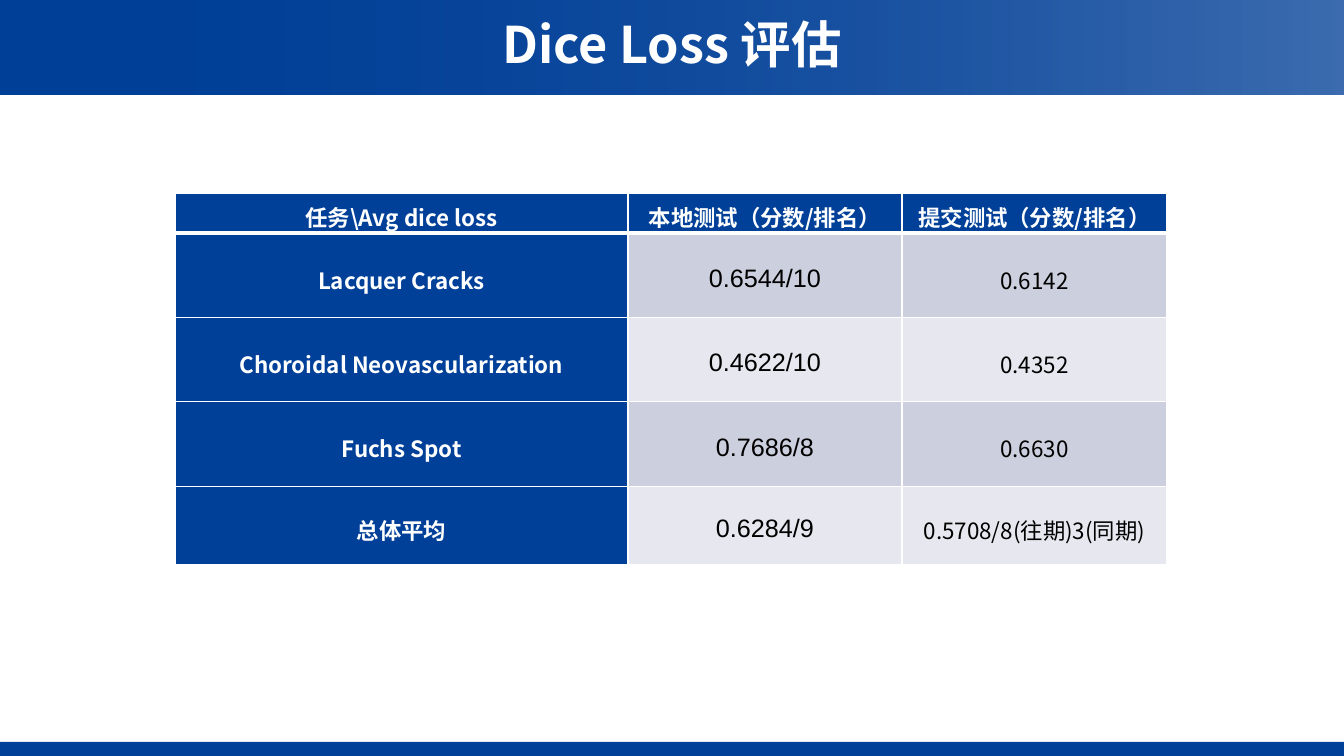
from dataclasses import dataclass

from lxml import etree
from pptx import Presentation
from pptx.dml.color import RGBColor
from pptx.enum.shapes import MSO_SHAPE
from pptx.enum.text import MSO_ANCHOR, MSO_AUTO_SIZE, PP_ALIGN
from pptx.oxml.ns import qn
from pptx.util import Emu, Pt

RECT = MSO_SHAPE.RECTANGLE
MIDDLE = MSO_ANCHOR.MIDDLE
CENTER = PP_ALIGN.CENTER

TITLE = "Dice Loss 评估"
ROWS = [
    ("任务\\Avg dice loss", "本地测试（分数/排名）", "提交测试（分数/排名）"),
    ("Lacquer Cracks", "0.6544/10", "0.6142"),
    ("Choroidal Neovascularization", "0.4622/10", "0.4352"),
    ("Fuchs Spot", "0.7686/8", "0.6630"),
    ("总体平均", "0.6284/9", "0.5708/8(往期)3(同期)"),
]

# Lengths in px
SLIDE_W, SLIDE_H = 1344, 756
HEADER_H, FOOTER_H = 95, 14
TITLE_INSET = 16
TABLE_X, TABLE_Y = 175, 193
COL_W = [453, 274, 265]
ROW_H = [39, 84, 84, 85, 78]
CELL_INSET = 7
HEADER_ALPHAS = [77, 0]  # opacity in percent at the right edge of each layer


@dataclass(frozen=True)
class Theme:
    blue: str = "004098"
    white: str = "FFFFFF"
    black: str = "000000"
    bands: tuple = ("CCCFDD", "E7E8EF")
    font: str = "Noto Sans CJK SC"
    local_font: str = "Arial"
    title_size: int = 36
    size: int = 16
    local_size: int = 18
    border: int = 1
    header_border: int = 3


THEME = Theme()


def px(n):
    return Emu(round(n * 914400 / 100.8))


def rgb(color):
    return RGBColor.from_string(color)


def write(tf, text, font, size, color, bold, spacing):
    tf.text = text
    p = tf.paragraphs[0]
    p.alignment = CENTER
    p.line_spacing = spacing
    p.space_before = Pt(0)
    r = p.runs[0]
    r.font.name, r.font.size, r.font.bold = font, Pt(size), bold
    r.font.color.rgb = rgb(color)
    east_asian = etree.SubElement(r.font._element, qn("a:ea"))
    east_asian.set("typeface", font)


def add_bar(slide, y, h):
    sp = slide.shapes.add_shape(RECT, 0, px(y), px(SLIDE_W), px(h))
    sp.shadow.inherit = False
    sp.line.fill.background()
    return sp


def fade_right(sp, alpha):
    """Fill with blue, opaque at the left and of the given opacity at the right."""
    sp.fill.gradient()
    sp.fill.gradient_angle = 180
    for stop in sp.fill.gradient_stops:
        stop.color.rgb = rgb(THEME.blue)
    right = next(sp._element.iter(qn("a:srgbClr")))
    etree.SubElement(right, qn("a:alpha")).set("val", str(alpha * 1000))


def set_borders(cell, row):
    top = THEME.header_border if row == 1 else THEME.border
    bottom = THEME.header_border if row == 0 else THEME.border
    widths = {"lnL": THEME.border, "lnR": THEME.border, "lnT": top, "lnB": bottom}
    props = cell._tc.get_or_add_tcPr()
    for i, (side, width) in enumerate(widths.items()):
        ln = etree.Element(qn(f"a:{side}"), w=str(Pt(width)))
        fill = etree.SubElement(ln, qn("a:solidFill"))
        etree.SubElement(fill, qn("a:srgbClr")).set("val", THEME.white)
        props.insert(i, ln)


def add_title(slide):
    title = slide.shapes.title
    slide.shapes._spTree.append(title._element)  # bring in front of the header
    title.left, title.top = 0, 0
    title.width, title.height = px(SLIDE_W), px(HEADER_H)
    tf = title.text_frame
    tf.auto_size = MSO_AUTO_SIZE.NONE
    tf.word_wrap = True
    tf.vertical_anchor = MIDDLE
    tf.margin_left = tf.margin_right = px(TITLE_INSET)
    tf.margin_top = tf.margin_bottom = px(TITLE_INSET)
    write(tf, TITLE, THEME.font, THEME.title_size, THEME.white, True, 0.9)


def add_scores(slide):
    table = slide.shapes.add_table(
        len(ROWS), len(COL_W), px(TABLE_X), px(TABLE_Y),
        px(sum(COL_W)), px(sum(ROW_H))).table
    for col, w in zip(table.columns, COL_W):
        col.width = px(w)
    for row, h in zip(table.rows, ROW_H):
        row.height = px(h)
    for i, texts in enumerate(ROWS):
        for j, text in enumerate(texts):
            cell = table.cell(i, j)
            heading = i == 0 or j == 0
            local = j == 1 and not heading
            cell.fill.solid()
            cell.fill.fore_color.rgb = rgb(
                THEME.blue if heading else THEME.bands[(i - 1) % 2])
            cell.vertical_anchor = MIDDLE
            cell.margin_left = cell.margin_right = px(CELL_INSET)
            cell.margin_top = cell.margin_bottom = 0
            set_borders(cell, i)
            write(cell.text_frame, text,
                  THEME.local_font if local else THEME.font,
                  THEME.local_size if local else THEME.size,
                  THEME.white if heading else THEME.black, heading, 1.25)


def main():
    prs = Presentation()
    prs.slide_width, prs.slide_height = px(SLIDE_W), px(SLIDE_H)
    slide = prs.slides.add_slide(prs.slide_layouts.get_by_name("Title Only"))
    footer = add_bar(slide, SLIDE_H - FOOTER_H, FOOTER_H)
    footer.fill.solid()
    footer.fill.fore_color.rgb = rgb(THEME.blue)
    for alpha in HEADER_ALPHAS:
        fade_right(add_bar(slide, 0, HEADER_H), alpha)
    add_title(slide)
    add_scores(slide)
    prs.save("out.pptx")


if __name__ == "__main__":
    main()
